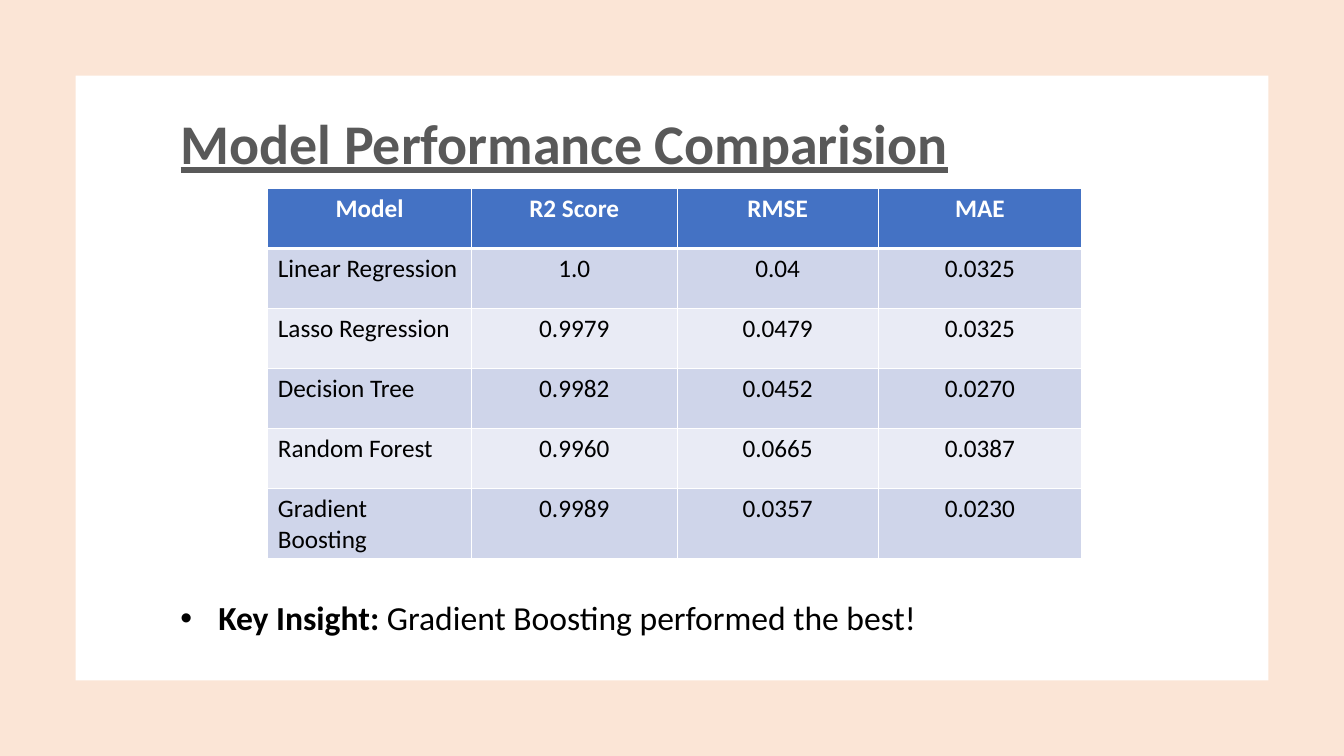
from lxml.etree import SubElement
from pptx import Presentation
from pptx.dml.color import RGBColor
from pptx.enum.shapes import MSO_SHAPE
from pptx.enum.text import MSO_ANCHOR, MSO_AUTO_SIZE, PP_ALIGN
from pptx.oxml.ns import qn
from pptx.util import Pt

PEACH = RGBColor(0xFB, 0xE5, 0xD6)
WHITE = RGBColor(0xFF, 0xFF, 0xFF)
BLACK = RGBColor(0x00, 0x00, 0x00)
GREY = RGBColor(0x59, 0x59, 0x59)
BLUE = RGBColor(0x44, 0x72, 0xC4)
DARK_BAND = RGBColor(0xCF, 0xD5, 0xEA)
LIGHT_BAND = RGBColor(0xE9, 0xEB, 0xF5)
FONT = "Calibri"

SLIDE_WIDTH, SLIDE_HEIGHT = 960, 540
MARGIN = 54
COLUMN_WIDTHS = [145.4, 147, 143.6, 145.4]
ROW_HEIGHT = 42.85
SCORES = [
    ["Model", "R2 Score", "RMSE", "MAE"],
    ["Linear Regression", "1.0", "0.04", "0.0325"],
    ["Lasso Regression", "0.9979", "0.0479", "0.0325"],
    ["Decision Tree", "0.9982", "0.0452", "0.0270"],
    ["Random Forest", "0.9960", "0.0665", "0.0387"],
    ["Gradient Boosting", "0.9989", "0.0357", "0.0230"],
]


def format_run(run, size, color, bold=False, underline=False):
    run.font.name = FONT
    run.font.size = Pt(size)
    run.font.color.rgb = color
    run.font.bold = bold
    run.font.underline = underline


def add_panel(slide, left, top, width, height, color):
    panel = slide.shapes.add_shape(
        MSO_SHAPE.RECTANGLE, Pt(left), Pt(top), Pt(width), Pt(height)
    )
    panel.shadow.inherit = False
    panel.fill.solid()
    panel.fill.fore_color.rgb = color
    panel.line.fill.background()


def add_backdrop(slide, width, height):
    add_panel(slide, 0, 0, width, height, PEACH)
    add_panel(slide, MARGIN, MARGIN, width - 2 * MARGIN, height - 2 * MARGIN, WHITE)


def place_title(slide, left, top, width, height):
    title = slide.shapes.title
    title.left, title.top = Pt(left), Pt(top)
    title.width, title.height = Pt(width), Pt(height)
    slide.shapes._spTree.append(title._element)
    frame = title.text_frame
    frame.text = "Model Performance Comparision"
    frame.word_wrap = True
    frame.auto_size = MSO_AUTO_SIZE.NONE
    frame.vertical_anchor = MSO_ANCHOR.BOTTOM
    paragraph = frame.paragraphs[0]
    paragraph.alignment = PP_ALIGN.LEFT
    paragraph.line_spacing = 0.9
    format_run(paragraph.runs[0], 40, GREY, bold=True, underline=True)


def add_insight(slide, left, top, width, height):
    box = slide.shapes.add_textbox(Pt(left), Pt(top), Pt(width), Pt(height))
    box.text_frame.word_wrap = True
    paragraph = box.text_frame.paragraphs[0]
    paragraph.line_spacing = 0.9
    paragraph.space_before = Pt(10)
    properties = paragraph._p.get_or_add_pPr()
    properties.set("marL", str(Pt(27)))
    properties.set("indent", str(Pt(-27)))
    SubElement(properties, qn("a:buFont"), typeface="Arial")
    SubElement(properties, qn("a:buChar"), char="•")
    parts = [("Key Insight:", True), (" Gradient Boosting performed the best!", False)]
    for text, bold in parts:
        run = paragraph.add_run()
        run.text = text
        format_run(run, 24, BLACK, bold=bold)


def set_borders(cell, widths):
    properties = cell._tc.get_or_add_tcPr()
    for side, width in widths.items():
        line = SubElement(properties, qn(f"a:ln{side}"), w=str(Pt(width)))
        fill = SubElement(line, qn("a:solidFill"))
        SubElement(fill, qn("a:srgbClr"), val=str(WHITE))


def add_score_table(slide, left, top):
    frame = slide.shapes.add_table(
        len(SCORES), len(COLUMN_WIDTHS), Pt(left), Pt(top),
        Pt(sum(COLUMN_WIDTHS)), Pt(ROW_HEIGHT * len(SCORES)),
    )
    table = frame.table
    for column, width in zip(table.columns, COLUMN_WIDTHS):
        column.width = Pt(width)
    for row_index, values in enumerate(SCORES):
        table.rows[row_index].height = Pt(ROW_HEIGHT)
        header = row_index == 0
        band = DARK_BAND if row_index % 2 else LIGHT_BAND
        top_width = 3 if row_index == 1 else 1
        bottom_width = 3 if header else 1
        for column_index, value in enumerate(values):
            cell = table.cell(row_index, column_index)
            set_borders(cell, {"L": 1, "R": 1, "T": top_width, "B": bottom_width})
            cell.fill.solid()
            cell.fill.fore_color.rgb = BLUE if header else band
            cell.text_frame.text = value
            paragraph = cell.text_frame.paragraphs[0]
            centered = header or column_index > 0
            paragraph.alignment = PP_ALIGN.CENTER if centered else PP_ALIGN.LEFT
            format_run(paragraph.runs[0], 18, WHITE if header else BLACK, bold=header)


def main():
    presentation = Presentation()
    presentation.slide_width = Pt(SLIDE_WIDTH)
    presentation.slide_height = Pt(SLIDE_HEIGHT)
    slide = presentation.slides.add_slide(presentation.slide_layouts[5])
    add_backdrop(slide, SLIDE_WIDTH, SLIDE_HEIGHT)
    place_title(slide, 121.8, 77, 749.5, 52.6)
    add_insight(slide, 121.8, 426.2, 774, 52.6)
    add_score_table(slide, 191.3, 134.7)
    presentation.save("out.pptx")


if __name__ == "__main__":
    main()
